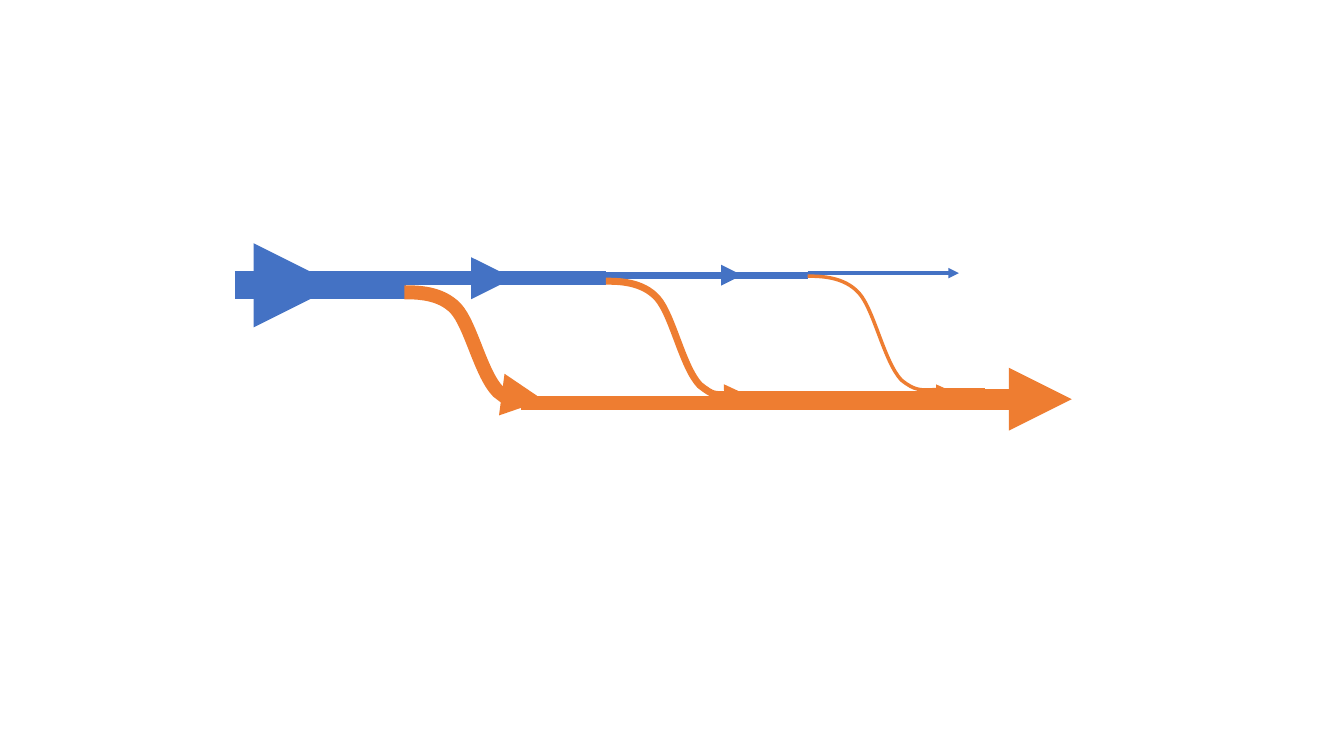
from typing import NamedTuple

from lxml.etree import SubElement
from pptx import Presentation
from pptx.dml.color import RGBColor
from pptx.enum.shapes import MSO_CONNECTOR
from pptx.oxml.ns import qn
from pptx.util import Inches, Pt

BLUE = RGBColor(0x44, 0x72, 0xC4)
ORANGE = RGBColor(0xEE, 0x7D, 0x31)

# Bezier points of a branch: distance across in inches, share of the drop
BRANCH_POINTS = (
    (0, 0), (0.12, 0), (0.36, 0), (0.51, 0.15), (0.66, 0.3),
    (0.76, 0.76), (0.93, 0.92), (1.07, 1.02), (1.15, 1.01), (1.38, 1),
)


class Flow(NamedTuple):
    left: float
    right: float
    y: float
    color: RGBColor
    width: float
    arrow: bool = False


class Branch(NamedTuple):
    left: float
    top: float
    bottom: float
    width: float


# Listed from back to front
STREAMS = (
    Flow(2.33, 4.03, 2.83, BLUE, 20),
    Flow(4.01, 6.01, 2.76, BLUE, 10),
    Branch(4.01, 2.9, 3.97, 10),
    Flow(6.01, 8.01, 2.73, BLUE, 5),
    Branch(6.01, 2.79, 3.91, 5),
    Flow(8.01, 9.51, 2.71, BLUE, 2.5, arrow=True),
    Branch(8.01, 2.74, 3.86, 2.5),
    # Direction marks on the upper flow
    Flow(2.5, 3.35, 2.83, BLUE, 20, arrow=True),
    Flow(4.23, 5.09, 2.76, BLUE, 10, arrow=True),
    Flow(6.66, 7.36, 2.73, BLUE, 5, arrow=True),
    # Lower flow, which gathers the branches
    Flow(5.17, 9.77, 4, ORANGE, 10),
    Flow(7.32, 9.77, 3.91, ORANGE, 5),
    Flow(9.22, 9.77, 3.87, ORANGE, 2.5),
    Flow(9.77, 10.63, 3.96, ORANGE, 15, arrow=True),
)


def style_line(shape, color: RGBColor, width: float, arrow: bool) -> None:
    shape.line.color.rgb = color
    shape.line.width = Pt(width)
    properties = shape._element.spPr
    if arrow:
        SubElement(properties.find(qn("a:ln")), qn("a:tailEnd"), type="triangle")
    if properties.find(qn("a:effectLst")) is None:
        SubElement(properties, qn("a:effectLst"))


def draw_flow(page, flow: Flow) -> None:
    y = Inches(flow.y)
    line = page.shapes.add_connector(
        MSO_CONNECTOR.STRAIGHT, Inches(flow.left), y, Inches(flow.right), y)
    style_line(line, flow.color, flow.width, flow.arrow)


def draw_branch(page, branch: Branch) -> None:
    drop = branch.bottom - branch.top
    points = [(Inches(branch.left + across), Inches(branch.top + share * drop))
              for across, share in BRANCH_POINTS]
    builder = page.shapes.build_freeform(*points[0])
    builder.add_line_segments(points[1:], close=False)
    curve = builder.convert_to_shape()
    curve.fill.background()
    style_line(curve, ORANGE, branch.width, arrow=True)

    # Turn every three straight segments into one cubic curve
    segments = list(curve._element.iter(qn("a:lnTo")))
    outline = segments[0].getparent()
    for first in range(0, len(segments), 3):
        cubic = SubElement(outline, qn("a:cubicBezTo"))
        for segment in segments[first:first + 3]:
            cubic.append(segment[0])
            outline.remove(segment)


def main() -> None:
    deck = Presentation()
    deck.slide_width, deck.slide_height = Inches(13.33), Inches(7.5)
    page = deck.slides.add_slide(deck.slide_layouts[6])
    for stream in STREAMS:
        if isinstance(stream, Flow):
            draw_flow(page, stream)
        else:
            draw_branch(page, stream)
    deck.save("out.pptx")


if __name__ == "__main__":
    main()
